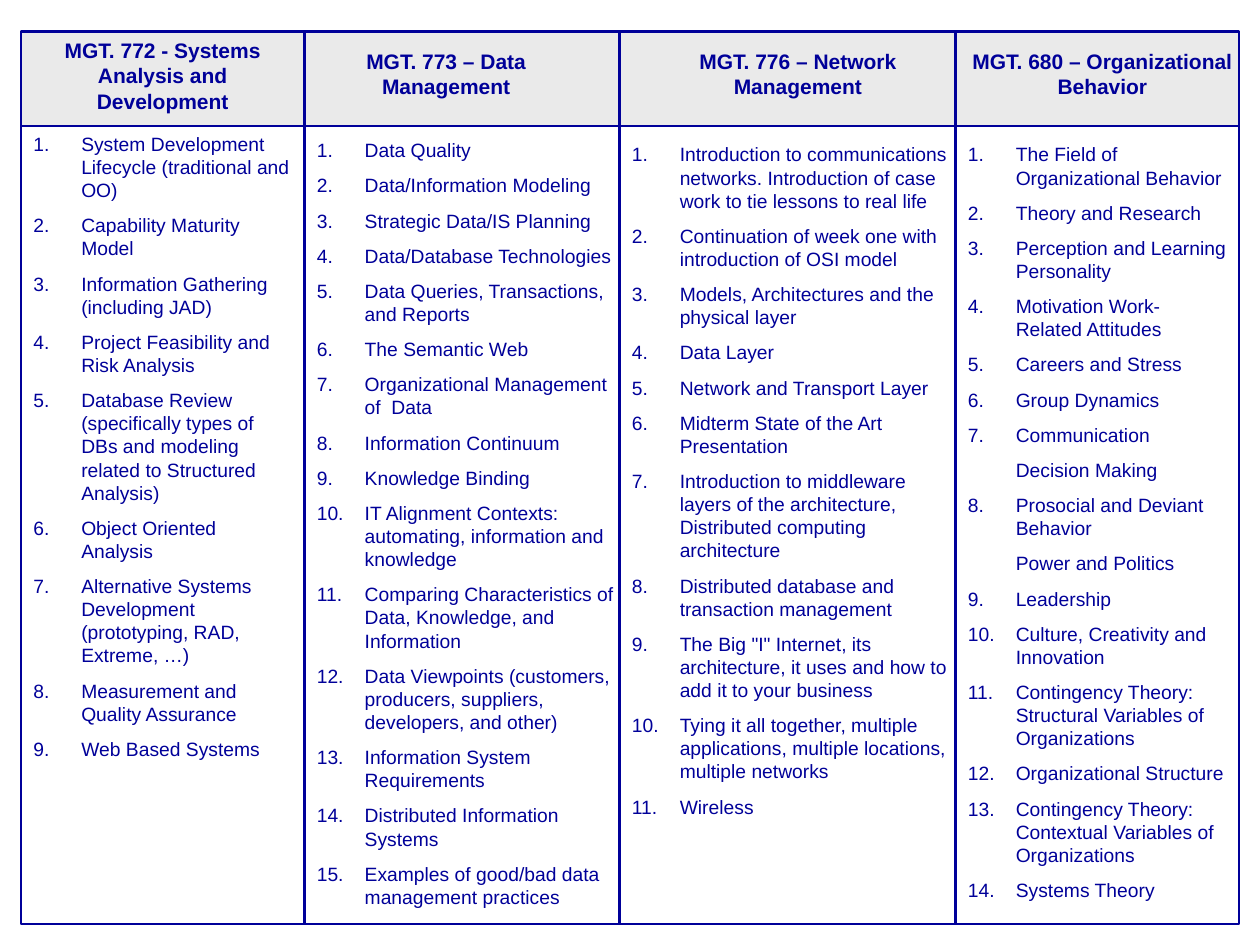
from pptx import Presentation
from pptx import util as u
from pptx.dml.color import RGBColor
from pptx.enum import shapes, text
from pptx.oxml.ns import qn
from lxml import etree

COLORS = {"navy": "000099", "header": "EAEAEA", "paper": "FFFFFF"}
FONT = "Arial"
GRID_COLUMNS, GRID_ROWS = 120, 90
UNIT = u.Inches(10) / GRID_COLUMNS
HANG = u.Inches(0.38)

FRAME = (2, 3, 116, 85)
HEADER_ROWS = 9
DIVIDERS = (29, 59, 91)

COURSES = [
    {
        "title": "MGT. 772 - Systems Analysis and Development",
        "title_box": (2, 3, 27, 8.4),
        "list_box": (2, 12, 27, 61),
        "topics": [
            "System Development Lifecycle (traditional and OO)",
            "Capability Maturity Model",
            "Information Gathering (including JAD)",
            "Project Feasibility and Risk Analysis",
            "Database Review (specifically types of DBs and modeling related to Structured Analysis)",
            "Object Oriented Analysis",
            "Alternative Systems Development (prototyping, RAD, Extreme, …)",
            "Measurement and Quality Assurance",
            "Web Based Systems",
        ],
    },
    {
        "title": "MGT. 773 – Data Management",
        "title_box": (30, 4, 25, 6),
        "list_box": (29, 12.6, 31, 78),
        "topics": [
            "Data Quality",
            "Data/Information Modeling",
            "Strategic Data/IS Planning",
            "Data/Database Technologies",
            "Data Queries, Transactions, and Reports",
            "The Semantic Web",
            "Organizational Management of  Data",
            "Information Continuum",
            "Knowledge Binding",
            "IT Alignment Contexts: automating, information and knowledge",
            "Comparing Characteristics of Data, Knowledge, and Information",
            "Data Viewpoints (customers, producers, suppliers, developers, and other)",
            "Information System Requirements",
            "Distributed Information Systems",
            "Examples of good/bad data management practices",
        ],
    },
    {
        "title": "MGT. 776 – Network Management",
        "title_box": (61, 4, 30, 6),
        "list_box": (59, 13, 33, 65.5),
        "topics": [
            "Introduction to communications networks. Introduction of case work to tie lessons to real life",
            "Continuation of week one with introduction of OSI model",
            "Models, Architectures and the physical layer",
            "Data Layer",
            "Network and Transport Layer",
            "Midterm State of the Art Presentation",
            "Introduction to middleware layers of the architecture, Distributed computing architecture",
            "Distributed database and transaction management",
            'The Big "I" Internet, its architecture, it uses and how to add it to your business',
            "Tying it all together, multiple applications, multiple locations, multiple networks",
            "Wireless",
        ],
    },
    {
        "title": "MGT. 680 – Organizational Behavior",
        "title_box": (90, 4, 30, 6),
        "list_box": (91, 13, 27, 77),
        "topics": [
            "The Field of Organizational Behavior",
            "Theory and Research",
            "Perception and Learning Personality",
            "Motivation Work-Related Attitudes",
            "Careers and Stress",
            "Group Dynamics",
            "Communication",
            "Decision Making",
            "Prosocial and Deviant Behavior",
            "Power and Politics",
            "Leadership",
            "Culture, Creativity and Innovation",
            "Contingency Theory: Structural Variables of Organizations",
            "Organizational Structure",
            "Contingency Theory: Contextual Variables of Organizations",
            "Systems Theory",
        ],
        "unnumbered": ("Decision Making", "Power and Politics"),
    },
]


def color(name):
    """Return the named colour."""
    return RGBColor.from_string(COLORS[name])


def grid(*cells):
    """Turn grid cells into lengths."""
    return [u.Emu(round(cell * UNIT)) for cell in cells]


def add_panel(page, box, fill):
    """Draw an outlined rectangle."""
    panel = page.shapes.add_shape(shapes.MSO_SHAPE.RECTANGLE, *grid(*box))
    panel.shadow.inherit = False
    panel.fill.solid()
    panel.fill.fore_color.rgb = color(fill)
    panel.line.color.rgb = color("navy")
    panel.line.width = u.Pt(1.5)


def add_divider(page, column, top, bottom):
    """Draw a vertical line between two courses."""
    divider = page.shapes.add_connector(
        shapes.MSO_CONNECTOR.STRAIGHT, *grid(column, top, column, bottom))
    divider.line.color.rgb = color("navy")
    divider.line.width = u.Pt(1.5)
    etree.SubElement(divider._element.spPr, qn("a:effectLst"))


def add_frame(page, box):
    """Draw the body, the header band and the dividers."""
    left, top, width, height = box
    add_panel(page, (left, top + HEADER_ROWS, width, height - HEADER_ROWS), "paper")
    add_panel(page, (left, top, width, HEADER_ROWS), "header")
    for column in DIVIDERS:
        add_divider(page, column, top, top + height)


def add_text_frame(page, box):
    """Add a wrapping text box and return its text frame."""
    frame = page.shapes.add_textbox(*grid(*box)).text_frame
    frame.word_wrap = True
    frame.auto_size = text.MSO_AUTO_SIZE.SHAPE_TO_FIT_TEXT
    return frame


def write(para, words, size=11, bold=False, align=text.PP_ALIGN.LEFT, before=0):
    """Write one formatted span into a paragraph."""
    para.alignment = align
    para.space_before = u.Pt(before)
    span = para.add_run()
    span.text = words
    span.font.name = FONT
    span.font.size = u.Pt(size)
    span.font.bold = bold
    span.font.color.rgb = color("navy")


def set_number(para, start):
    """Give a paragraph a hanging automatic number."""
    properties = para._p.get_or_add_pPr()
    properties.set("indent", str(-HANG))
    tint = etree.SubElement(properties, qn("a:buClr"))
    etree.SubElement(tint, qn("a:srgbClr"), val=COLORS["navy"])
    etree.SubElement(properties, qn("a:buFont"), typeface=FONT)
    number = etree.SubElement(properties, qn("a:buAutoNum"), type="arabicPeriod")
    if start > 1:
        number.set("startAt", str(start))


def add_topics(page, box, topics, unnumbered=()):
    """List the topics, resuming the count after each unnumbered one."""
    frame = add_text_frame(page, box)
    start = count = 1
    for index, topic in enumerate(topics):
        para = frame.add_paragraph() if index else frame.paragraphs[0]
        para._p.get_or_add_pPr().set("marL", str(HANG))
        if topic in unnumbered:
            start = count
        else:
            set_number(para, start)
            count += 1
        write(para, topic, before=6.9 if index else 0)


def add_course(page, course):
    """Place one course heading and its topics."""
    heading = add_text_frame(page, course["title_box"]).paragraphs[0]
    write(heading, course["title"], size=12, bold=True, align=text.PP_ALIGN.CENTER)
    add_topics(page, course["list_box"], course["topics"], course.get("unnumbered", ()))


def main():
    """Build and save the deck."""
    deck = Presentation()
    deck.slide_width, deck.slide_height = grid(GRID_COLUMNS, GRID_ROWS)
    page = deck.slides.add_slide(deck.slide_layouts[6])
    add_frame(page, FRAME)
    for course in COURSES:
        add_course(page, course)
    deck.save("out.pptx")


if __name__ == "__main__":
    main()
